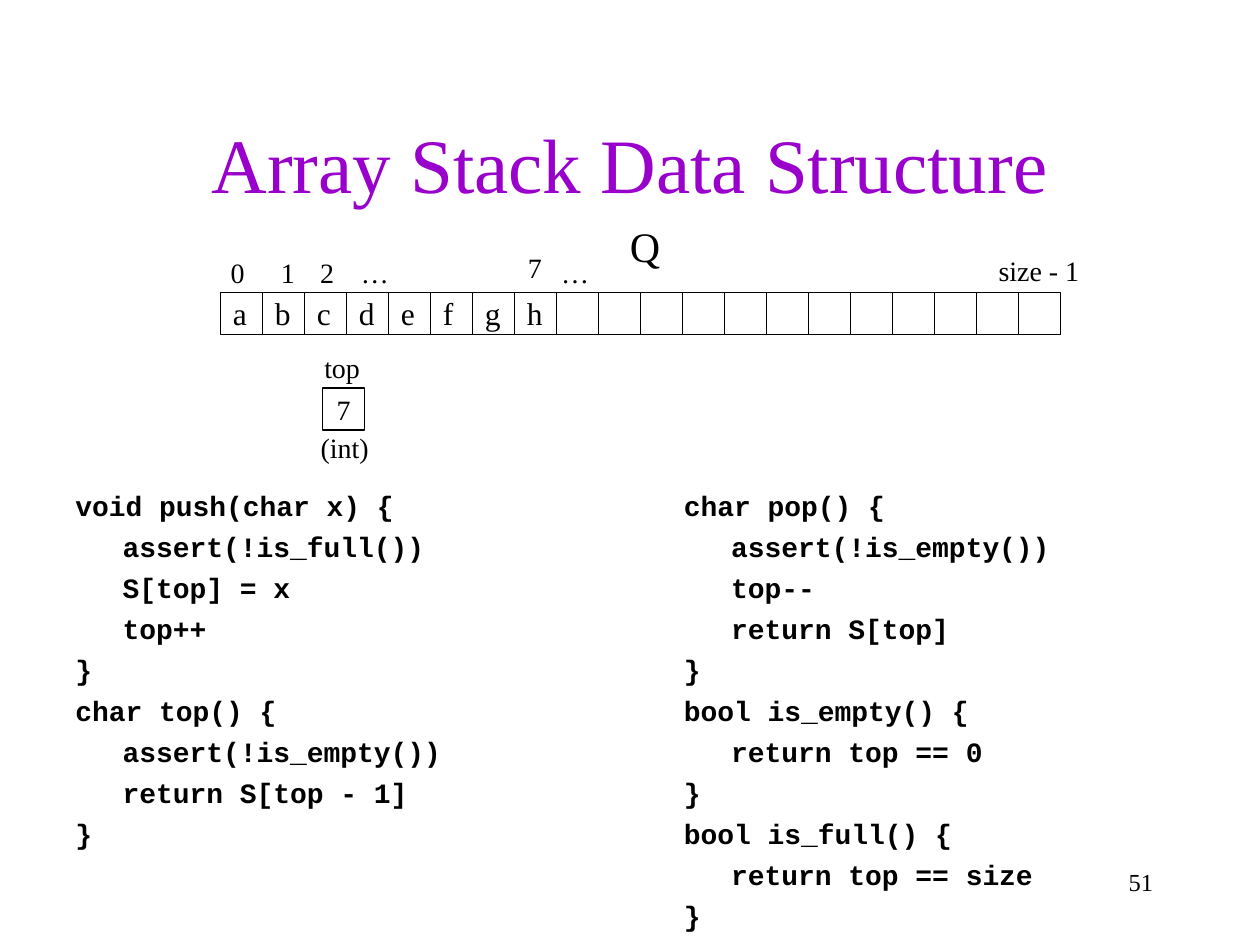
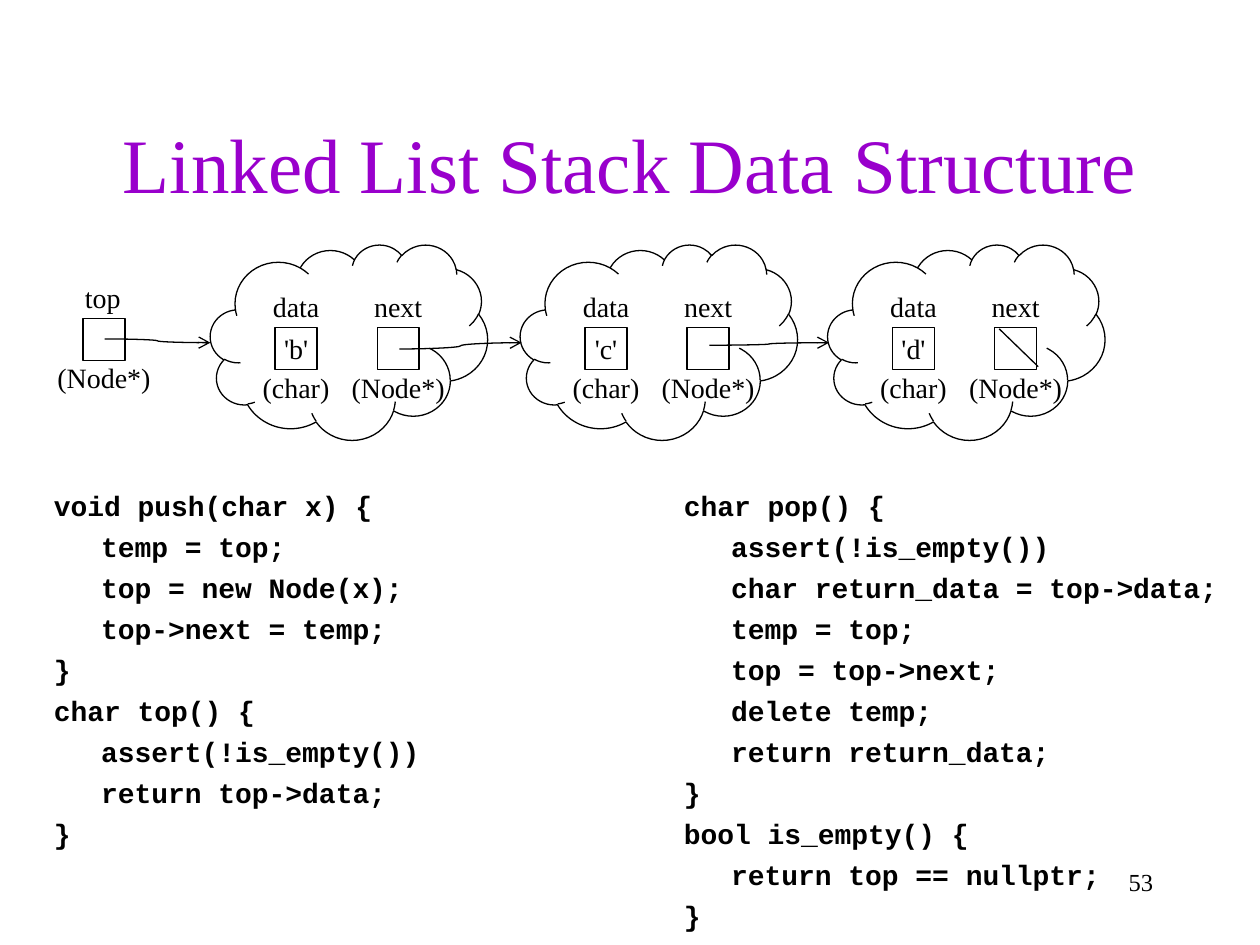
"""Build two slides that compare an array stack with a linked list stack."""
import dataclasses

import lxml.etree
import pptx
import pptx.dml.color
import pptx.enum.shapes
import pptx.enum.text
import pptx.oxml.ns
import pptx.util

Inches = pptx.util.Inches
Pt = pptx.util.Pt
Align = pptx.enum.text.PP_ALIGN
Anchor = pptx.enum.text.MSO_ANCHOR
AutoSize = pptx.enum.text.MSO_AUTO_SIZE
Preset = pptx.enum.shapes.MSO_SHAPE
Connector = pptx.enum.shapes.MSO_CONNECTOR


@dataclasses.dataclass(frozen=True)
class Theme:
    title_color: pptx.dml.color.RGBColor = pptx.dml.color.RGBColor(0x99, 0x00, 0xCC)
    ink: pptx.dml.color.RGBColor = pptx.dml.color.RGBColor(0, 0, 0)
    text_font: str = "Times New Roman"
    code_font: str = "Courier New"
    title_size: int = 44
    name_size: int = 24
    cell_size: int = 18
    label_size: int = 16
    code_size: int = 16
    number_size: int = 14
    line_width: float = 0.75
    code_gap: float = 4.25


theme = Theme()
CELL = 1 / 3
LABEL_HEIGHT = 0.37


def add_item(shapes, left, top, width, height, text="", size=theme.label_size,
             preset=None, align=Align.CENTER, wrap=False, code=False):
    area = Inches(left), Inches(top), Inches(width), Inches(height)
    if preset is None:
        shape = shapes.add_textbox(*area)
        shape.text_frame.auto_size = AutoSize.NONE if wrap else AutoSize.SHAPE_TO_FIT_TEXT
    else:
        shape = shapes.add_shape(preset, *area)
        shape.shadow.inherit = False
        shape.fill.background()
        shape.line.color.rgb = theme.ink
        shape.line.width = Pt(theme.line_width)
        shape.text_frame.vertical_anchor = Anchor.MIDDLE
    frame = shape.text_frame
    frame.word_wrap = wrap
    for index, line in enumerate(text.split("\n") if text else []):
        paragraph = frame.add_paragraph() if index else frame.paragraphs[0]
        paragraph.alignment = align
        if code:
            paragraph.space_before = Pt(theme.code_gap)
            properties = paragraph._p.get_or_add_pPr()
            properties.set("marL", str(Inches(0.375)))
            properties.set("indent", str(Inches(-0.375)))
        run = paragraph.add_run()
        run.text = line
        run.font.size = Pt(size)
        run.font.name = theme.code_font if code else theme.text_font
        run.font.bold = code
        run.font.color.rgb = theme.ink
    return shape


def add_line(shapes, kind, start, end, arrow):
    connector = shapes.add_connector(kind, *map(Inches, start + end))
    connector.line.color.rgb = theme.ink
    connector.line.width = Pt(theme.line_width)
    if arrow:
        line = connector.line._get_or_add_ln()
        lxml.etree.SubElement(line, pptx.oxml.ns.qn("a:tailEnd"), type="arrow")
    lxml.etree.SubElement(connector._element.spPr, pptx.oxml.ns.qn("a:effectLst"))


ARRAY_LEFT_CODE = """void push(char x) {
\tassert(!is_full())
\tS[top] = x
\ttop++
}
char top() {
\tassert(!is_empty())
\treturn S[top - 1]
}"""
ARRAY_RIGHT_CODE = """char pop() {
\tassert(!is_empty())
\ttop--
\treturn S[top]
}
bool is_empty() {
\treturn top == 0
}
bool is_full() {
\treturn top == size
}"""
LIST_LEFT_CODE = """void push(char x) {
\ttemp = top;
\ttop = new Node(x);
\ttop->next = temp;
}
char top() {
\tassert(!is_empty())
\treturn top->data;
}"""
LIST_RIGHT_CODE = """char pop() {
\tassert(!is_empty())
\tchar return_data = top->data;
\ttemp = top;
\ttop = top->next;
\tdelete temp;
\treturn return_data;
}
bool is_empty() {
\treturn top == nullptr;
}"""

presentation = pptx.Presentation()
presentation.slide_width = Inches(10)
presentation.slide_height = Inches(7.5)

slides = []
for title, number, code_left, left_code, right_code in (
    ("Array Stack Data Structure", "51", 0.5, ARRAY_LEFT_CODE, ARRAY_RIGHT_CODE),
    ("Linked List Stack Data Structure", "53", 0.33, LIST_LEFT_CODE, LIST_RIGHT_CODE),
):
    slide = presentation.slides.add_slide(presentation.slide_layouts[5])
    slides.append(slide)
    heading = slide.shapes.title
    heading.left, heading.top = Inches(0.75), Inches(0.67)
    heading.width, heading.height = Inches(8.5), Inches(1.25)
    heading.text_frame.auto_size = AutoSize.NONE
    heading.text_frame.vertical_anchor = Anchor.MIDDLE
    paragraph = heading.text_frame.paragraphs[0]
    paragraph.alignment = Align.CENTER
    run = paragraph.add_run()
    run.text = title
    run.font.size = Pt(theme.title_size)
    run.font.name = theme.text_font
    run.font.color.rgb = theme.title_color
    for left, width, code in ((code_left, 5.42 - code_left, left_code), (5.33, 4.58, right_code)):
        add_item(slide.shapes, left, 3.83, width, 2.83, code, theme.code_size,
                 align=Align.LEFT, wrap=True, code=True)
    add_item(slide.shapes, 7.17, 6.83, 2.08, 0.5, number, theme.number_size,
             align=Align.RIGHT, wrap=True)

array_shapes, list_shapes = (slide.shapes for slide in slides)

for index, letter in enumerate("abcdefgh".ljust(20)):
    add_item(array_shapes, 1.75 + index * CELL, 2.32, CELL, CELL, letter.strip(),
             theme.cell_size, Preset.RECTANGLE, Align.LEFT)
add_item(array_shapes, 4.9, 1.7, 0.44, 0.5, "Q", theme.name_size, align=Align.LEFT)
for text, left, top, width in (
    ("0", 1.73, 1.98, 0.31),
    ("1", 2.13, 1.98, 0.31),
    ("2", 2.44, 1.98, 0.31),
    ("…", 2.76, 1.98, 0.43),
    ("7", 4.09, 1.94, 0.31),
    ("…", 4.35, 1.98, 0.43),
    ("size - 1", 7.82, 1.96, 0.85),
    ("top", 2.47, 2.73, 0.49),
    ("(int)", 2.44, 3.37, 0.59),
):
    add_item(array_shapes, left, top, width, LABEL_HEIGHT, text)
add_item(array_shapes, 2.56, 3.08, CELL, CELL, "7", preset=Preset.RECTANGLE)

for node_left, value in ((1.67, "'b'"), (4.13, "'c'"), (6.57, "'d'")):
    node = list_shapes.add_group_shape().shapes
    add_item(node, node_left, 1.94, 2.2, 1.55, preset=Preset.CLOUD)
    for center, name, content, kind in ((0.68, "data", value, "(char)"),
                                        (1.49, "next", "", "(Node*)")):
        middle = node_left + center
        add_item(node, middle - 0.29, 2.25, 0.58, LABEL_HEIGHT, name)
        add_item(node, middle - CELL / 2, 2.6, CELL, CELL, content, preset=Preset.RECTANGLE)
        add_item(node, middle - 0.47, 2.89, 0.94, LABEL_HEIGHT, kind)

add_item(list_shapes, 0.57, 2.18, 0.49, LABEL_HEIGHT, "top")
add_item(list_shapes, 0.66, 2.53, CELL, CELL, preset=Preset.RECTANGLE)
add_item(list_shapes, 0.35, 2.81, 0.95, LABEL_HEIGHT, "(Node*)")
for start, end in (((0.83, 2.69), (1.67, 2.72)),
                   ((3.17, 2.77), (4.14, 2.72)),
                   ((5.63, 2.74), (6.58, 2.72))):
    add_line(list_shapes, Connector.CURVE, start, end, arrow=True)
add_line(list_shapes, Connector.STRAIGHT, (8.24, 2.91), (7.93, 2.61), arrow=False)

presentation.save("out.pptx")
